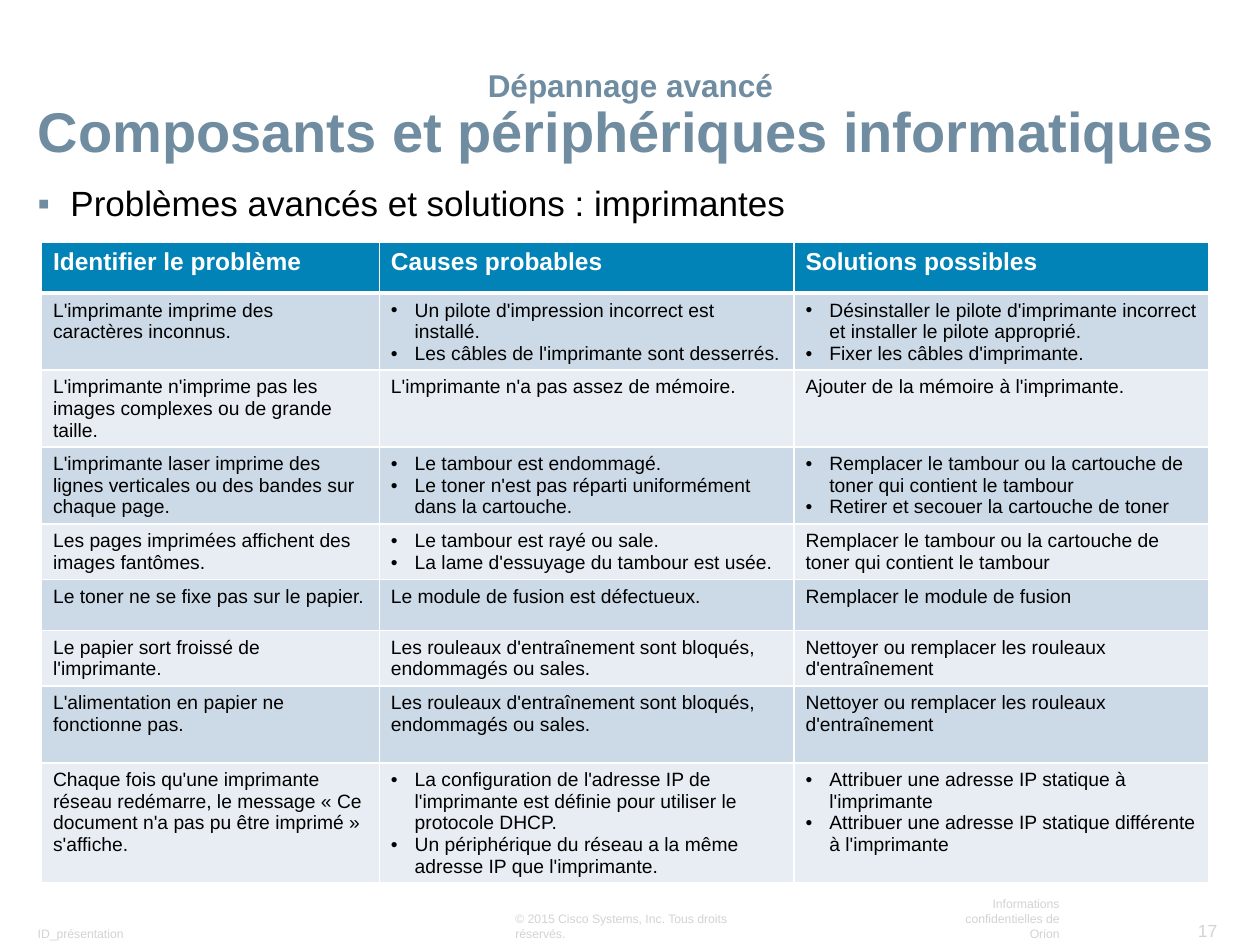
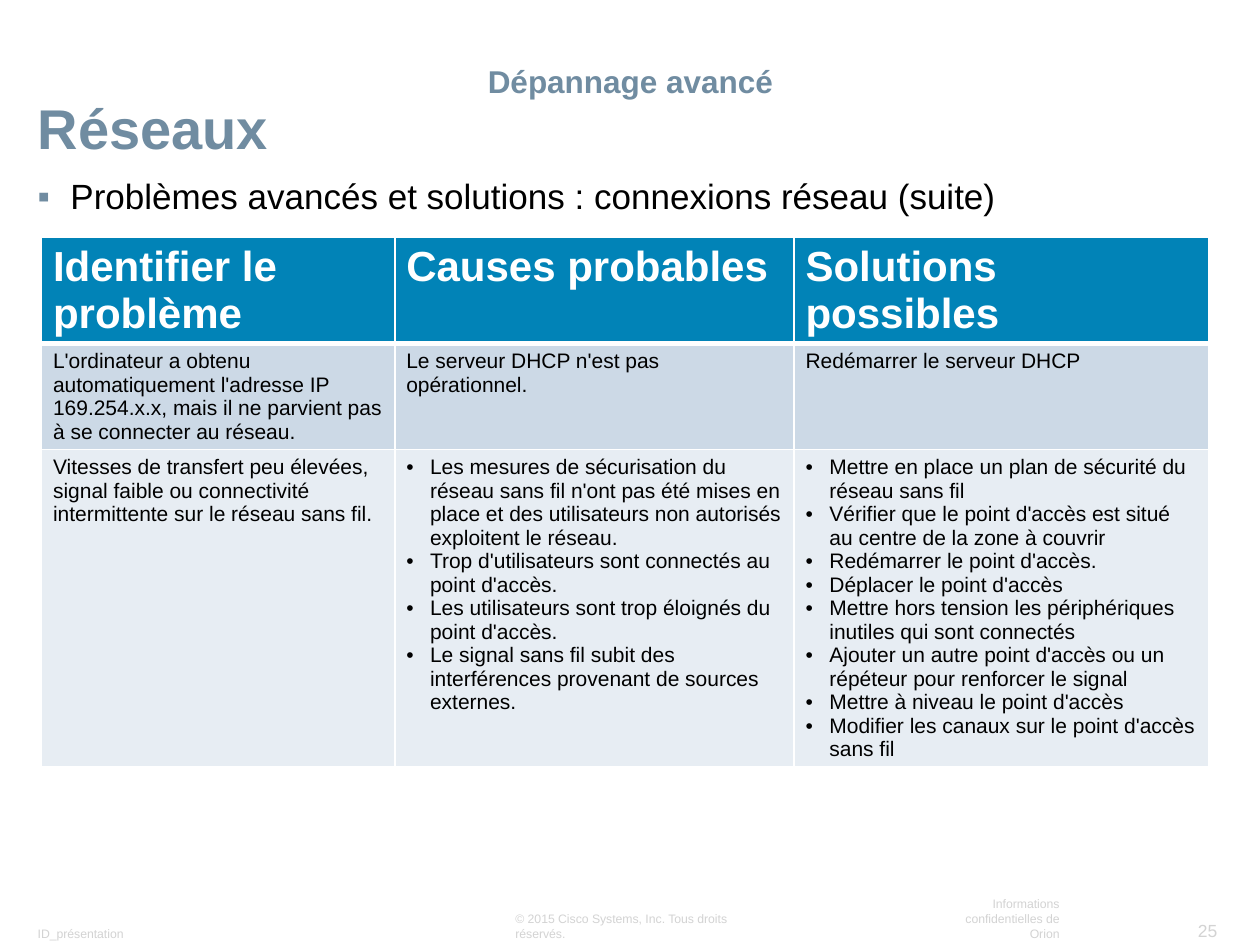
from lxml.etree import SubElement
from pptx import Presentation
from pptx.dml.color import RGBColor
from pptx.enum.text import MSO_ANCHOR as Anchor, PP_ALIGN as Align
from pptx.oxml.ns import qn
from pptx.util import Cm, Pt

# Shared style
FONT = "Arial"
LINE_HEIGHT = 1.12  # line pitch in table cells, relative to the text size
SLATE = RGBColor(0x70, 0x8C, 0xA1)
HEADER_BLUE = RGBColor(0x01, 0x83, 0xB7)
BAND_DARK = RGBColor(0xCC, 0xD9, 0xE6)
BAND_LIGHT = RGBColor(0xE7, 0xED, 0xF3)
FOOTER_GREY = RGBColor(0xD3, 0xD3, 0xD3)
WHITE = RGBColor(0xFF, 0xFF, 0xFF)
BLACK = RGBColor(0, 0, 0)

SECTION = "Dépannage avancé"
HEADINGS = ["Identifier le problème", "Causes probables", "Solutions possibles"]

# Footer parts: text, left, top, width, height, size, alignment
FOOTERS = [
    ("ID_présentation", 0.53, 18.54, 2.67, 0.53, 7, Align.LEFT),
    ("© 2015 Cisco Systems, Inc. Tous droits réservés.",
     10.16, 18.54, 5.61, 0.53, 7, Align.LEFT),
    ("Informations confidentielles de Orion",
     19.15, 18.54, 2.44, 0.53, 7, Align.RIGHT),
]

# Table content: a list inside a row is a bulleted cell
PRINTER_ROWS = [
    ["L'imprimante imprime des caractères inconnus.",
     ["Un pilote d'impression incorrect est installé.",
      "Les câbles de l'imprimante sont desserrés."],
     ["Désinstaller le pilote d'imprimante incorrect et installer le pilote approprié.",
      "Fixer les câbles d'imprimante."]],
    ["L'imprimante n'imprime pas les images complexes ou de grande taille.",
     "L'imprimante n'a pas assez de mémoire.",
     "Ajouter de la mémoire à l'imprimante."],
    ["L'imprimante laser imprime des lignes verticales ou des bandes sur chaque page.",
     ["Le tambour est endommagé.",
      "Le toner n'est pas réparti uniformément dans la cartouche."],
     ["Remplacer le tambour ou la cartouche de toner qui contient le tambour",
      "Retirer et secouer la cartouche de toner"]],
    ["Les pages imprimées affichent des images fantômes.",
     ["Le tambour est rayé ou sale.",
      "La lame d'essuyage du tambour est usée."],
     "Remplacer le tambour ou la cartouche de toner qui contient le tambour"],
    ["Le toner ne se fixe pas sur le papier.",
     "Le module de fusion est défectueux.",
     "Remplacer le module de fusion"],
    ["Le papier sort froissé de l'imprimante.",
     "Les rouleaux d'entraînement sont bloqués, endommagés ou sales.",
     "Nettoyer ou remplacer les rouleaux d'entraînement"],
    ["L'alimentation en papier ne fonctionne pas.",
     "Les rouleaux d'entraînement sont bloqués, endommagés ou sales.",
     "Nettoyer ou remplacer les rouleaux d'entraînement"],
    ["Chaque fois qu'une imprimante réseau redémarre, le message « Ce document "
     "n'a pas pu être imprimé » s'affiche.",
     ["La configuration de l'adresse IP de l'imprimante est définie pour utiliser "
      "le protocole DHCP.",
      "Un périphérique du réseau a la même adresse IP que l'imprimante."],
     ["Attribuer une adresse IP statique à l'imprimante",
      "Attribuer une adresse IP statique différente à l'imprimante"]],
]

NETWORK_ROWS = [
    ["L'ordinateur a obtenu automatiquement l'adresse IP 169.254.x.x, mais il ne "
     "parvient pas à se connecter au réseau.",
     "Le serveur DHCP n'est pas opérationnel.",
     "Redémarrer le serveur DHCP"],
    ["Vitesses de transfert peu élevées, signal faible ou connectivité "
     "intermittente sur le réseau sans fil.",
     ["Les mesures de sécurisation du réseau sans fil n'ont pas été mises en place "
      "et des utilisateurs non autorisés exploitent le réseau.",
      "Trop d'utilisateurs sont connectés au point d'accès.",
      "Les utilisateurs sont trop éloignés du point d'accès.",
      "Le signal sans fil subit des interférences provenant de sources externes."],
     ["Mettre en place un plan de sécurité du réseau sans fil",
      "Vérifier que le point d'accès est situé au centre de la zone à couvrir",
      "Redémarrer le point d'accès.",
      "Déplacer le point d'accès",
      "Mettre hors tension les périphériques inutiles qui sont connectés",
      "Ajouter un autre point d'accès ou un répéteur pour renforcer le signal",
      "Mettre à niveau le point d'accès",
      "Modifier les canaux sur le point d'accès sans fil"]],
]


# Text helpers
def add_run(paragraph, text, size, color, bold=False):
    run = paragraph.add_run()
    run.text = text
    font = run.font
    font.name, font.size, font.bold = FONT, Pt(size), bold
    font.color.rgb = color


def add_bullet(paragraph, character, indent, color=None):
    properties = paragraph._p.get_or_add_pPr()
    properties.set("marL", str(indent))
    properties.set("indent", str(-indent))
    if color is not None:
        bullet_color = SubElement(properties, qn("a:buClr"))
        SubElement(bullet_color, qn("a:srgbClr"), val=str(color))
    SubElement(properties, qn("a:buFont"), typeface=FONT)
    SubElement(properties, qn("a:buChar"), char=character)


def add_text_frame(slide, left, top, width, height, anchor):
    box = slide.shapes.add_textbox(Cm(left), Cm(top), Cm(width), Cm(height))
    frame = box.text_frame
    frame.word_wrap = True
    frame.vertical_anchor = anchor
    frame.margin_left = frame.margin_right = Cm(0.23)
    frame.margin_top = frame.margin_bottom = Cm(0.11)
    return frame


# Slide parts
def add_footers(slide, number):
    page_number = (str(number), 23.88, 18.42, 0.89, 0.66, 10, Align.RIGHT)
    for text, left, top, width, height, size, alignment in FOOTERS + [page_number]:
        frame = add_text_frame(slide, left, top, width, height, Anchor.BOTTOM)
        paragraph = frame.paragraphs[0]
        paragraph.alignment = alignment
        add_run(paragraph, text, size, FOOTER_GREY)


def add_title(slide, title, top):
    frame = add_text_frame(slide, 0.53, top, 24.36, 2.34, Anchor.BOTTOM)
    section, heading = frame.paragraphs[0], frame.add_paragraph()
    section.alignment, heading.alignment = Align.CENTER, Align.LEFT
    section.line_spacing = heading.line_spacing = 0.9
    add_run(section, SECTION, 18, SLATE, bold=True)
    add_run(heading, title, 32, SLATE, bold=True)


def add_subject(slide, text, top):
    frame = add_text_frame(slide, 0.53, top, 24.51, 1.27, Anchor.TOP)
    paragraph = frame.paragraphs[0]
    add_bullet(paragraph, "▪", Cm(0.66), SLATE)
    paragraph.line_spacing = 0.95
    add_run(paragraph, text, 20, BLACK)


# Table
def set_borders(cell, top=1, bottom=1):
    properties = cell._tc.get_or_add_tcPr()
    for side, width in (("L", 1), ("R", 1), ("T", top), ("B", bottom)):
        line = SubElement(properties, qn(f"a:ln{side}"), w=str(Pt(width)))
        fill = SubElement(line, qn("a:solidFill"))
        SubElement(fill, qn("a:srgbClr"), val=str(WHITE))


def fill_cell(cell, content, size, color, background, bold=False):
    cell.fill.solid()
    cell.fill.fore_color.rgb = background
    cell.margin_left = cell.margin_right = Cm(0.23)
    cell.margin_bottom = Cm(0)
    bulleted = isinstance(content, list)
    for index, text in enumerate(content if bulleted else [content]):
        frame = cell.text_frame
        paragraph = frame.add_paragraph() if index else frame.paragraphs[0]
        if bulleted:
            add_bullet(paragraph, "•", Cm(0.48))
        paragraph.alignment = Align.LEFT
        paragraph.line_spacing = Pt(size * LINE_HEIGHT)
        add_run(paragraph, text, size, color, bold)


def add_problem_table(slide, rows, top, widths, heights, heading_size, body_size):
    frame = slide.shapes.add_table(
        len(rows) + 1, len(HEADINGS), Cm(0.84), Cm(top),
        Cm(sum(widths)), Cm(sum(heights)))
    table = frame.table
    for column, width in zip(table.columns, widths):
        column.width = Cm(width)
    for row, height in zip(table.rows, heights):
        row.height = Cm(height)
    for column, heading in enumerate(HEADINGS):
        cell = table.cell(0, column)
        set_borders(cell, bottom=3)
        fill_cell(cell, heading, heading_size, WHITE, HEADER_BLUE, bold=True)
    for row, contents in enumerate(rows, start=1):
        band = BAND_DARK if row % 2 else BAND_LIGHT
        for column, content in enumerate(contents):
            cell = table.cell(row, column)
            set_borders(cell, top=3 if row == 1 else 1)
            fill_cell(cell, content, body_size, BLACK, band)


def add_slide(presentation, number, title, title_top, subject, subject_top):
    slide = presentation.slides.add_slide(presentation.slide_layouts[6])
    add_footers(slide, number)
    add_title(slide, title, title_top)
    add_subject(slide, subject, subject_top)
    return slide


def main():
    presentation = Presentation()
    presentation.slide_width, presentation.slide_height = Cm(25.4), Cm(19.05)

    # Printers
    slide = add_slide(presentation, 17, "Composants et périphériques informatiques",
                      1.09, "Problèmes avancés et solutions : imprimantes", 3.61)
    add_problem_table(slide, PRINTER_ROWS, 4.88, [6.81, 8.36, 8.36],
                      [1.03, 1.55, 1.55, 1.55, 1.12, 1.03, 1.12, 1.55, 2.42], 14, 11)

    # Network connections
    slide = add_slide(presentation, 25, "Réseaux", 1.02,
                      "Problèmes avancés et solutions : connexions réseau (suite)", 3.48)
    add_problem_table(slide, NETWORK_ROWS, 4.78, [7.12, 8.05, 8.36],
                      [2.14, 2.14, 6.4], 24, 12)

    presentation.save("out.pptx")


if __name__ == "__main__":
    main()
